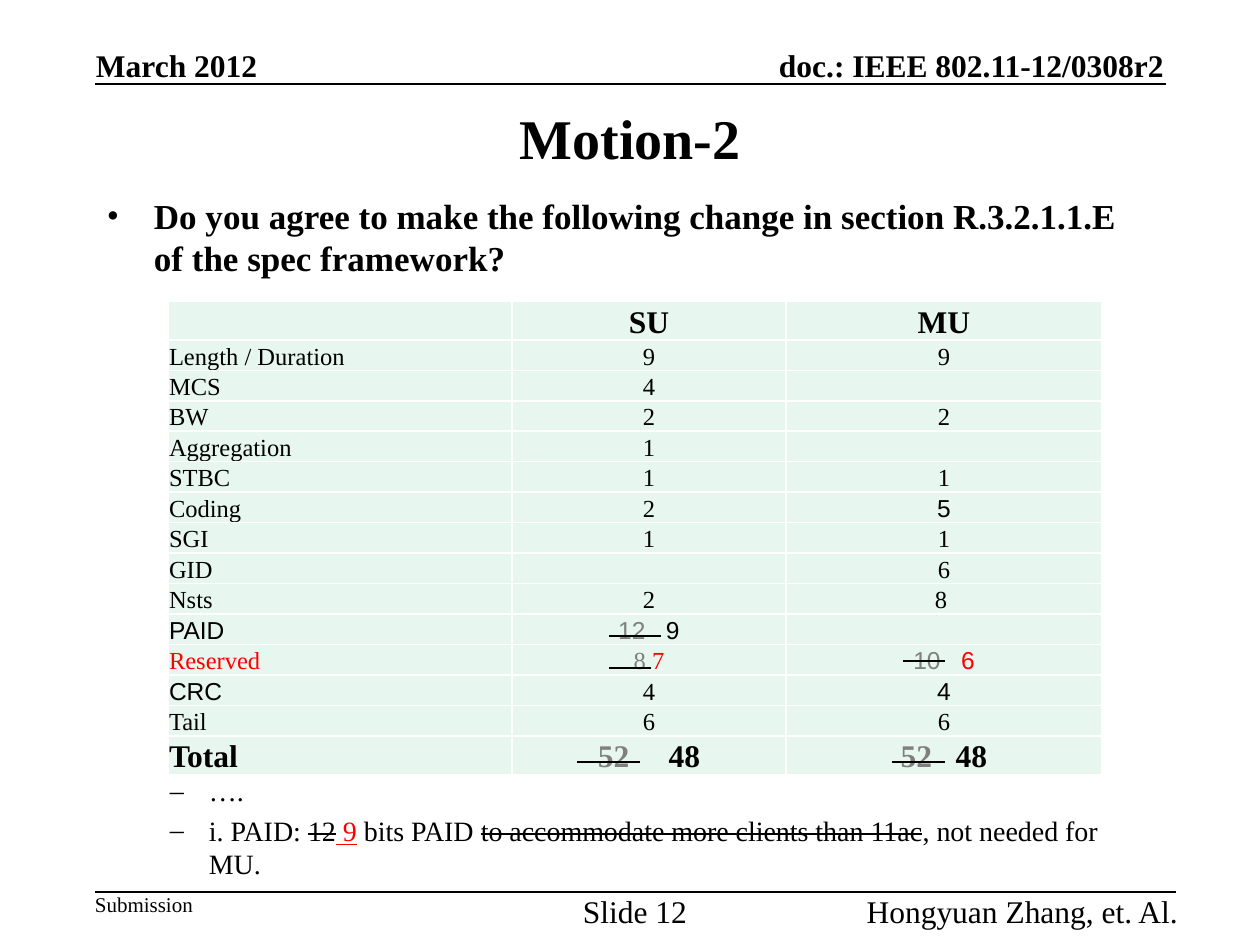
"""Build the Motion-2 slide with its bit allocation table."""
from lxml import etree
from pptx import Presentation
from pptx import util as u
from pptx.dml.color import RGBColor
from pptx.enum import shapes, text
from pptx.oxml import ns

PX = 914400 // 126
BLACK = RGBColor(0, 0, 0)
WHITE = RGBColor(255, 255, 255)
RED = RGBColor(255, 0, 0)
GREY = RGBColor(0x7F, 0x7F, 0x7F)
MINT = RGBColor(0xE7, 0xF6, 0xEF)
SERIF, SANS = "Times New Roman", "Arial"
LEFT, MID, RIGHT = text.PP_ALIGN.LEFT, text.PP_ALIGN.CENTER, text.PP_ALIGN.RIGHT
TOP, CENTRE, BASE = (text.MSO_ANCHOR.TOP, text.MSO_ANCHOR.MIDDLE,
                     text.MSO_ANCHOR.BOTTOM)

HEAD = {"size": 18, "bold": True}
ARIAL = {"name": SANS}
OLD, NEW = {"color": GREY}, {"color": RED}
OLD_ARIAL, NEW_ARIAL = {**OLD, **ARIAL}, {**NEW, **ARIAL}

ROWS = [
    ("", "SU", "MU"),
    ("Length / Duration", "9", "9"),
    ("MCS", "4", ""),
    ("BW", "2", "2"),
    ("Aggregation", "1", ""),
    ("STBC", "1", "1"),
    ("Coding", "2", [("5", ARIAL)]),
    ("SGI", "1", "1"),
    ("GID", "", "6"),
    ("Nsts", "2", "8 "),
    ([("PAID", ARIAL)], [("12", OLD_ARIAL), ("   9", ARIAL)], ""),
    ([("Reserved", NEW)], [("8", OLD), (" 7", NEW)],
     [("10  ", OLD_ARIAL), (" 6", NEW_ARIAL)]),
    ([("CRC", ARIAL)], "4", [("4", ARIAL)]),
    ("Tail", "6", "6"),
    ("Total", [("52    ", OLD), (" 48", {})], [("52", OLD), ("   48", {})]),
]
RULES = [(95, 1166, 84), (95, 1176, 892)]
MARKS = [(609, 661, 636), (577, 640, 762), (892, 945, 762),
         (609, 651, 668), (903, 945, 661)]
LABELS = [
    ((712, 47, 452, 37), "doc.: IEEE 802.11-12/0308r2", RIGHT, BASE, HEAD),
    ((96, 47, 163, 37), "March 2012", LEFT, BASE, HEAD),
    ((95, 892, 98, 25), "Submission", LEFT, TOP, {"size": 12}),
    ((858, 892, 320, 36), "Hongyuan Zhang, et. Al.", RIGHT, TOP, {"size": 18}),
    ((575, 892, 120, 36), "Slide 12", MID, TOP, {"size": 18}),
    ((95, 95, 1071, 84), "Motion-2", MID, CENTRE, {"size": 32, "bold": True}),
]
QUESTION = ("Do you agree to make the following change in section "
            "R.3.2.1.1.E of the spec framework?")
NOTES = [
    "….",
    [("i. PAID: ", {}), ("12", {"strike": True}),
     (" 9", {"color": RED, "underline": True}), (" bits PAID ", {}),
     ("to accommodate more clients than 11ac", {"strike": True}),
     (", not needed for MU.", {})],
]


class Deck:
    """Hold the base style and the current slide."""

    def __init__(self):
        self.prs = Presentation()
        self.prs.slide_width, self.prs.slide_height = 1260 * PX, 945 * PX
        self.slide = self.prs.slides.add_slide(self.prs.slide_layouts[6])
        self.base = {"name": SERIF, "size": 14, "color": BLACK, "bold": False}

    def fill(self, para, runs, style):
        """Fill a paragraph with a string or a list of styled runs."""
        for words, extra in [(runs, {})] if isinstance(runs, str) else runs:
            run = para.add_run()
            run.text = words
            for key, val in {**self.base, **style, **extra}.items():
                if key == "color":
                    run.font.color.rgb = val
                elif key == "strike":
                    run._r.get_or_add_rPr().set("strike", "sngStrike")
                else:
                    setattr(run.font, key, u.Pt(val) if key == "size" else val)

    def frame(self, area, anchor=TOP, wrap=True):
        """Add a text box without insets and return its frame."""
        box = self.slide.shapes.add_textbox(*(n * PX for n in area))
        form = {"word_wrap": wrap, "vertical_anchor": anchor, "margin_left": 0,
                "margin_right": 0, "margin_top": 0, "margin_bottom": 0}
        for key, val in form.items():
            setattr(box.text_frame, key, val)
        return box.text_frame

    def label(self, area, words, align, anchor, style):
        """Add one line of text."""
        para = self.frame(area, anchor, False).paragraphs[0]
        para.alignment = align
        self.fill(para, words, style)

    def bullets(self, area, items, mark, indent, hang, style):
        """Add a bulleted list."""
        frame = self.frame(area)
        for i, runs in enumerate(items):
            para = frame.add_paragraph() if i else frame.paragraphs[0]
            para.space_before = u.Pt(style["size"] * 0.2)
            props = para._p.get_or_add_pPr()
            props.set("marL", str(indent * PX))
            props.set("indent", str(-hang * PX))
            etree.SubElement(props, ns.qn("a:buFont"), typeface=SERIF)
            etree.SubElement(props, ns.qn("a:buChar"), char=mark)
            self.fill(para, runs, style)

    def line(self, start, end, y):
        """Add a thin level line."""
        rule = self.slide.shapes.add_connector(
            shapes.MSO_CONNECTOR.STRAIGHT, start * PX, y * PX, end * PX, y * PX)
        rule.line.color.rgb = BLACK
        rule.line.width = u.Pt(1)
        etree.SubElement(rule._element.spPr, ns.qn("a:effectLst"))

    def cell(self, cell, runs, align, style):
        """Set borders, fill and text of a table cell."""
        form = {"margin_left": PX, "margin_right": PX, "margin_top": PX,
                "margin_bottom": 0, "vertical_anchor": BASE}
        for key, val in form.items():
            setattr(cell, key, val)
        props = cell._tc.get_or_add_tcPr()
        for side in ("lnL", "lnR", "lnT", "lnB"):
            edge = etree.SubElement(props, ns.qn("a:" + side), w=str(u.Pt(1)))
            paint = etree.SubElement(edge, ns.qn("a:solidFill"))
            etree.SubElement(paint, ns.qn("a:srgbClr"), val=str(WHITE))
        cell.fill.solid()
        cell.fill.fore_color.rgb = MINT
        para = cell.text_frame.paragraphs[0]
        para.alignment = align
        if runs:
            self.fill(para, runs, style)
        else:
            etree.SubElement(para._p, ns.qn("a:endParaRPr"), sz="1400")

    def table(self, spot, cols, rows):
        """Add a table whose first and last rows stand out."""
        high = [38 if i in (0, len(rows) - 1) else 30 for i in range(len(rows))]
        area = (*spot, sum(cols), sum(high))
        grid = self.slide.shapes.add_table(
            len(rows), len(cols), *(n * PX for n in area)).table
        grid.first_row = grid.horz_banding = False
        for col, width in zip(grid.columns, cols):
            col.width = width * PX
        for r, (row, height) in enumerate(zip(rows, high)):
            grid.rows[r].height = height * PX
            for c, runs in enumerate(row):
                self.cell(grid.cell(r, c), runs, MID if c else LEFT,
                          HEAD if height == 38 else {})


def main():
    """Draw the slide and save it."""
    deck = Deck()
    for item in LABELS:
        deck.label(*item)
    deck.bullets((107, 195, 1046, 90), [QUESTION], "•", 47, 47,
                 {"size": 20, "bold": True})
    deck.table((168, 301), (344, 274, 316), ROWS)
    deck.bullets((107, 774, 1046, 110), NOTES, "–", 102, 39, {"size": 16})
    for rule in RULES + MARKS:
        deck.line(*rule)
    deck.prs.save("out.pptx")


if __name__ == "__main__":
    main()
